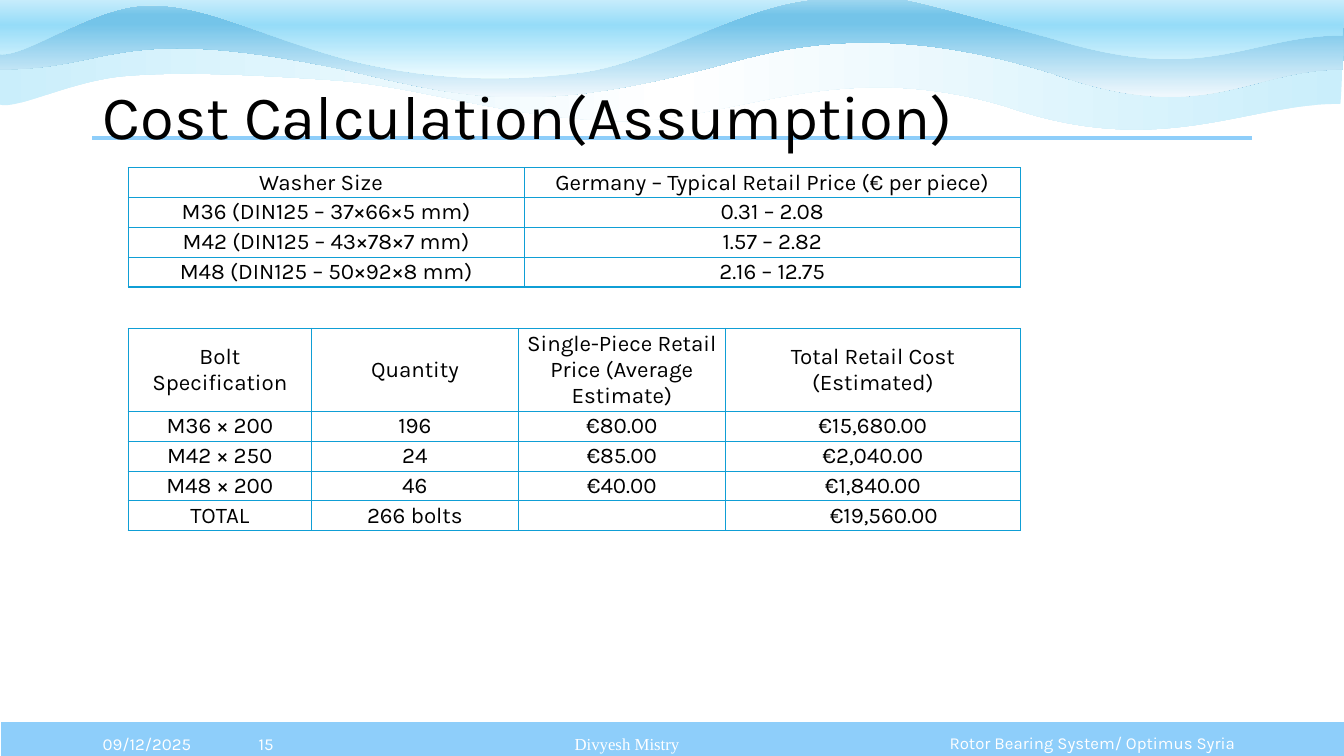
import pptx
import pptx.dml.color
import pptx.enum.shapes
import pptx.enum.text
import pptx.oxml.ns
import pptx.util
from lxml import etree

Cm = pptx.util.Cm
Pt = pptx.util.Pt
qn = pptx.oxml.ns.qn
ALIGN = pptx.enum.text.PP_ALIGN
MIDDLE = pptx.enum.text.MSO_ANCHOR.MIDDLE

COLOURS = {"band": "8ECEFA", "border": "0F9ED5", "white": "FFFFFF", "black": "000000"}

WAVES = [
    {
        "start": (33.78, 2.62),
        "curves": [
            ((31.42, 2.59), (29.26, 4.04), (25.37, 2.69)),
            ((21.01, 1.37), (18.31, 3.15), (15.49, 3.05)),
            ((12.67, 2.95), (10.69, 2.21), (8.51, 2.03)),
            ((6.32, 1.88), (4.65, 1.8), (3.23, 1.91)),
            ((1.8, 2.01), (0.36, 2.82), (-0.05, 2.62)),
            ((-0.05, 2.03), (-0.1, 1.35), (-0.1, 0.76)),
        ],
        "top": [(7.95, 0.79), (16.56, 0.86), (23.9, 0.81), (33.83, 0.86)],
        "closing": ((33.83, 1.4), (33.83, 2.03)),
        "height": 2.49,
        "stops": [(0, "CAEEFB"), (50, "FFFFFF"), (100, "CAEEFB")],
        "angle": 0,
    },
    {
        "start": (33.83, 1.75),
        "curves": [
            ((31.47, 1.75), (30.38, 3.23), (26.52, 1.85)),
            ((22.12, 0.48), (19.63, 1.24), (17.93, 1.7)),
            ((13.41, 2.9), (11.66, 2.46), (8.79, 1.78)),
            ((2.87, 0.53), (2.92, 1.75), (0, 1.75)),
            ((0, 1.17), (0.03, 0.58), (0.03, -0.03)),
        ],
        "top": [(7.95, 0), (16.61, -0.05), (24.03, -0.03), (33.86, 0.08)],
        "closing": ((33.86, 0.64), (33.88, 1.17)),
        "height": 2.49,
        "stops": [(0, "A2D8F0"), (17, "74C4E9"), (26, "74C4E9"), (100, "F0F8FD")],
        "angle": 270,
    },
    {
        "start": (33.83, 0.89),
        "curves": [
            ((31.47, 0.89), (30.38, 2.18), (26.52, 0.97)),
            ((22.15, -0.23), (22.63, -0.18), (20.65, -0.03)),
            ((18.67, 0.1), (16.59, 1.57), (14.63, 1.83)),
            ((12.65, 2.08), (10.77, 2.01), (8.81, 1.52)),
            ((6.55, 0.91), (5.26, 0.13), (3.81, 0.13)),
            ((2.34, 0.1), (0.56, 1.55), (-0.08, 1.35)),
            ((-0.05, 0.81), (0.03, -0.15), (0.03, -0.69)),
        ],
        "top": [(7.95, -0.66), (16.61, -0.71), (24.03, -0.69), (33.86, -0.61)],
        "closing": ((33.86, -0.1), (33.88, 0.36)),
        "height": 2.69,
        "stops": [(0, "FFFFFF"), (50, "96DCF8"), (100, "EFFCFF")],
        "angle": 270,
    },
]

FOOTER_BAND = (0, 18.17, 33.91, 1.02)
TITLE_RULE = (2.33, 3.48, 31.55, 3.48)

TEXTS = [
    ("Rotor Bearing System/ Optimus Syria", (23.62, 18.39, 7.82, 0.71), "Karla", 12, "white",
     {"alignment": ALIGN.CENTER, "line_spacing": 0.9}),
    ("09/12/2025", (2.34, 18.24, 3.1, 1.02), "Karla", 12, "white", {}),
    ("15", (5.41, 18.24, 2.59, 1.02), "Karla", 12, "white", {"alignment": ALIGN.CENTER}),
    ("Divyesh Mistry", (14.23, 17.81, 6.76, 1.88), "Times New Roman", 12, "white", {}),
    ("Cost Calculation(Assumption)", (2.34, 1.17, 30.66, 3.68), "Karla", 44, "black",
     {"line_spacing": 0.9}),
]

ROW_HEIGHT = 0.75
TABLES = [
    {
        "at": (3.23, 4.23),
        "columns": [9.98, 12.5],
        "header_height": ROW_HEIGHT,
        "rows": [
            ("Washer Size", "Germany – Typical Retail Price (€ per piece)"),
            ("M36 (DIN125 – 37×66×5 mm)", "0.31 – 2.08"),
            ("M42 (DIN125 – 43×78×7 mm)", "1.57 – 2.82"),
            ("M48 (DIN125 – 50×92×8 mm)", "2.16 – 12.75"),
        ],
        "margins": {(0, 0): {"margin_right": Cm(0.34)}},
    },
    {
        "at": (3.23, 8.28),
        "columns": [4.62, 5.21, 5.22, 7.43],
        "header_height": 2.06,
        "rows": [
            ("Bolt Specification", "Quantity", "Single-Piece Retail Price (Average Estimate)",
             "Total Retail Cost (Estimated)"),
            ("M36 × 200", "196", "€80.00", "€15,680.00"),
            ("M42 × 250", "24", "€85.00", "€2,040.00"),
            ("M48 × 200", "46", "€40.00", "€1,840.00"),
            ("TOTAL", "266 bolts", "", "€19,560.00"),
        ],
        "margins": {(4, 3): {"margin_left": Cm(0.63)}},
    },
]


def colour(name):
    return pptx.dml.color.RGBColor.from_string(COLOURS[name])


def lengths(values):
    return [Cm(value) for value in values]


def set_all(target, values):
    for name, value in values.items():
        setattr(target, name, value)


def write(paragraph, text, font_name, size, colour_name, paragraph_format):
    set_all(paragraph, paragraph_format)
    if not text:
        paragraph._p.get_or_add_endParaRPr().set("sz", str(size * 100))
        return
    run = paragraph.add_run()
    run.text = text
    set_all(run.font, {"name": font_name, "size": Pt(size)})
    run.font.color.rgb = colour(colour_name)


def add_wave(slide, wave):
    start = wave["start"]
    curves = wave["curves"] + [wave["closing"] + (start,)]
    corners = [curve[2] for curve in wave["curves"]] + wave["top"] + [start]
    builder = slide.shapes.build_freeform(*lengths(start), scale=1.0)
    builder.add_line_segments([lengths(corner) for corner in corners], close=True)
    shape = builder.convert_to_shape()

    outline = shape._element.spPr.find(".//" + qn("a:pathLst"))[0]
    segments = outline.findall(qn("a:lnTo"))
    curved = segments[:len(wave["curves"])] + segments[-1:]
    for segment, controls in zip(curved, curves):
        segment.tag = qn("a:cubicBezTo")
        for index, (x, y) in enumerate(controls[:2]):
            point = etree.Element(qn("a:pt"), x=str(Cm(x) - shape.left), y=str(Cm(y) - shape.top))
            segment.insert(index, point)
    shape.height = Cm(wave["height"])
    outline.set("h", str(shape.height))

    shape.shadow.inherit = False
    shape.line.fill.background()
    shape.fill.gradient()
    shape.fill.gradient_angle = wave["angle"]
    stop_list = shape._element.spPr.find(qn("a:gradFill")).find(qn("a:gsLst"))
    for stop in list(stop_list):
        stop_list.remove(stop)
    for position, value in wave["stops"]:
        stop = etree.SubElement(stop_list, qn("a:gs"), pos=str(position * 1000))
        etree.SubElement(stop, qn("a:srgbClr"), val=value)


def add_borders(cell):
    properties = cell._tc.get_or_add_tcPr()
    for index, side in enumerate(("lnL", "lnR", "lnT", "lnB")):
        border = etree.Element(qn("a:" + side), w=str(Pt(1)))
        fill = etree.SubElement(border, qn("a:solidFill"))
        etree.SubElement(fill, qn("a:srgbClr"), val=COLOURS["border"])
        properties.insert(index, border)


def add_cost_table(slide, content):
    rows, columns = content["rows"], content["columns"]
    heights = [content["header_height"]] + [ROW_HEIGHT] * (len(rows) - 1)
    frame = slide.shapes.add_table(len(rows), len(columns), *lengths(content["at"]),
                                   Cm(sum(columns)), Cm(sum(heights)))
    table = frame.table
    set_all(table, {"first_row": False, "horz_banding": False})
    for column, width in zip(table.columns, columns):
        column.width = Cm(width)
    for row_index, (row, height) in enumerate(zip(rows, heights)):
        table.rows[row_index].height = Cm(height)
        for column_index, text in enumerate(row):
            cell = table.cell(row_index, column_index)
            cell_format = {"margin_left": Cm(0.08), "margin_right": Cm(0.08),
                           "margin_top": Cm(0.03), "margin_bottom": Cm(0.03),
                           "vertical_anchor": MIDDLE}
            cell_format.update(content["margins"].get((row_index, column_index), {}))
            set_all(cell, cell_format)
            cell.fill.background()
            add_borders(cell)
            write(cell.text_frame.paragraphs[0], text, "Karla", 16, "black",
                  {"alignment": ALIGN.CENTER})


def main():
    presentation = pptx.Presentation()
    set_all(presentation, {"slide_width": Cm(33.87), "slide_height": Cm(19.05)})
    slide = presentation.slides.add_slide(presentation.slide_layouts[6])

    band = slide.shapes.add_shape(pptx.enum.shapes.MSO_SHAPE.RECTANGLE, *lengths(FOOTER_BAND))
    band.shadow.inherit = False
    band.fill.solid()
    band.fill.fore_color.rgb = colour("band")
    band.line.color.rgb = colour("white")
    band.line.width = Pt(1.5)

    for wave in WAVES:
        add_wave(slide, wave)

    rule = slide.shapes.add_connector(pptx.enum.shapes.MSO_CONNECTOR.STRAIGHT,
                                      *lengths(TITLE_RULE))
    rule.line.color.rgb = colour("band")
    rule.line.width = Pt(3)
    etree.SubElement(rule._element.spPr, qn("a:effectLst"))

    for text, box, font_name, size, colour_name, paragraph_format in TEXTS:
        frame = slide.shapes.add_textbox(*lengths(box)).text_frame
        set_all(frame, {"word_wrap": True, "vertical_anchor": MIDDLE})
        write(frame.paragraphs[0], text, font_name, size, colour_name, paragraph_format)

    for content in TABLES:
        add_cost_table(slide, content)

    presentation.save("out.pptx")


if __name__ == "__main__":
    main()
